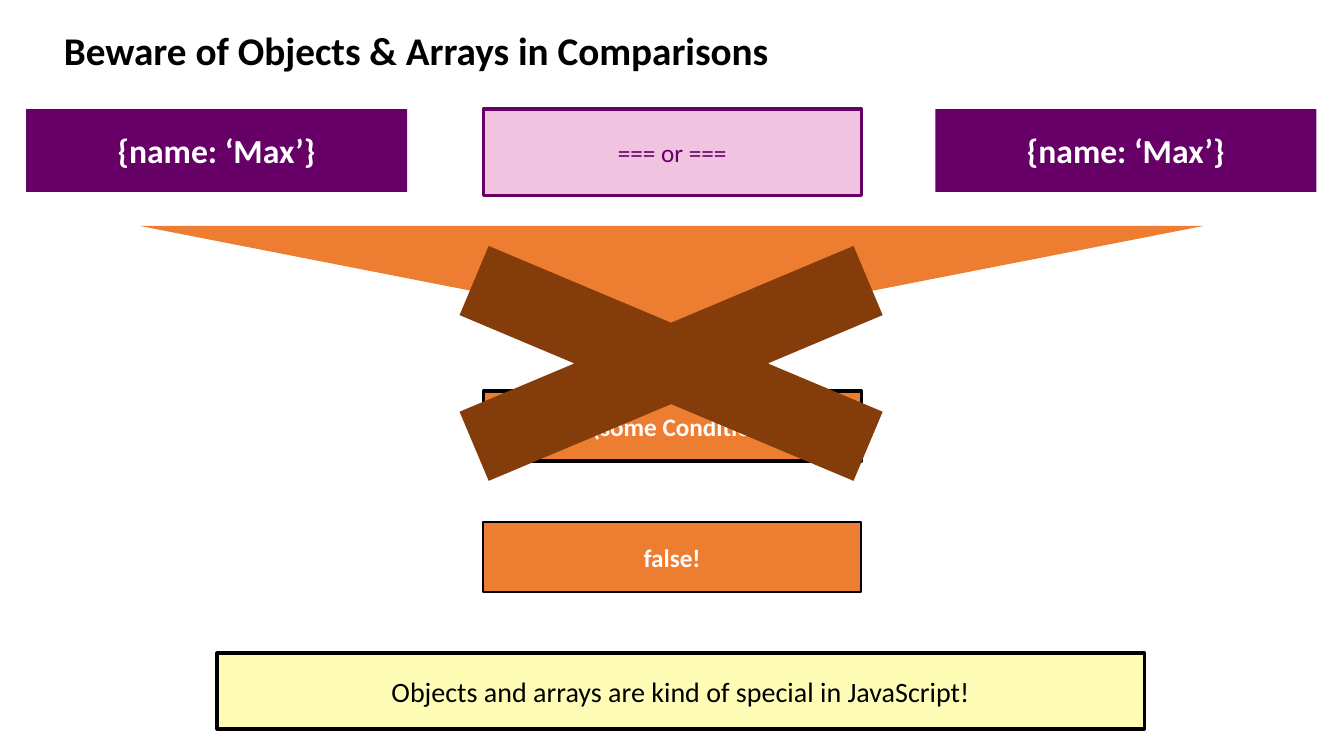
"""Build a slide warning about comparing objects and arrays."""
from lxml.etree import SubElement
from pptx import Presentation
from pptx.dml.color import RGBColor
from pptx.enum.shapes import MSO_SHAPE
from pptx.enum.text import MSO_ANCHOR, PP_ALIGN
from pptx.oxml.ns import qn
from pptx.util import Inches, Pt

EMU_PER_PIXEL = 914400 / 100.8
FONT = "Calibri"
PURPLE = RGBColor(0x66, 0x00, 0x66)
PINK = RGBColor(0xCC, 0x33, 0x99)
ORANGE = RGBColor(0xED, 0x7D, 0x31)
BROWN = RGBColor(0x84, 0x3C, 0x0B)
YELLOW = RGBColor(0xFC, 0xF6, 0x00)
BLACK = RGBColor(0x00, 0x00, 0x00)
WHITE = RGBColor(0xFF, 0xFF, 0xFF)


class SlideBuilder:
    def __init__(self, slide):
        self.slide = slide

    def place(self, *pixels):
        return [round(pixel * EMU_PER_PIXEL) for pixel in pixels]

    def set_text(self, shape, text, size, color, bold):
        paragraph = shape.text_frame.paragraphs[0]
        paragraph.text = text
        font = paragraph.font
        font.name, font.size, font.bold = FONT, Pt(size), bold
        font.color.rgb = color
        return paragraph

    def title(self, bounds, text):
        box = self.slide.shapes.add_textbox(*self.place(*bounds))
        box.text_frame.word_wrap = True
        self.set_text(box, text, 28, BLACK, True)

    def shape(self, kind, bounds, fill, opacity=100, rotation=0):
        shape = self.slide.shapes.add_shape(kind, *self.place(*bounds))
        shape.shadow.inherit = False
        shape.rotation = rotation
        shape.fill.solid()
        shape.fill.fore_color.rgb = fill
        shape.line.fill.background()
        if opacity < 100:
            color = shape.element.spPr.find(qn("a:solidFill"))[0]
            SubElement(color, qn("a:alpha"), val=str(opacity * 1000))
        return shape

    def box(self, bounds, text, size, fill, color=WHITE, bold=True,
            border=None, border_width=2.25, opacity=100):
        box = self.shape(MSO_SHAPE.RECTANGLE, bounds, fill, opacity)
        if border is not None:
            box.line.color.rgb = border
            box.line.width = Pt(border_width)
        box.text_frame.word_wrap = True
        box.text_frame.vertical_anchor = MSO_ANCHOR.MIDDLE
        self.set_text(box, text, size, color, bold).alignment = PP_ALIGN.CENTER


presentation = Presentation()
presentation.slide_width = Inches(13.33)
presentation.slide_height = Inches(7.5)
builder = SlideBuilder(presentation.slides.add_slide(presentation.slide_layouts[6]))

builder.title((54, 21, 762, 57), "Beware of Objects & Arrays in Comparisons")
for left in (26, 935):
    builder.box((left, 109, 381, 83), "{name: ‘Max’}", 24, PURPLE)
builder.box((483, 109, 378, 87), "=== or ===", 18, PINK, PURPLE, False,
            border=PURPLE, opacity=29)
builder.shape(MSO_SHAPE.ISOSCELES_TRIANGLE, (140, 226, 1063, 104), ORANGE, rotation=180)
for top, text, border_width in ((391, "If (some Condition)", 2.25), (522, "false!", 1.5)):
    builder.box((483, top, 378, 70), text, 18, ORANGE,
                border=BLACK, border_width=border_width)
builder.shape(MSO_SHAPE.MATH_MULTIPLY, (292, 204, 758, 319), BROWN)
builder.box((217, 653, 927, 76), "Objects and arrays are kind of special in JavaScript!",
            20, YELLOW, BLACK, False, border=BLACK, opacity=29)

presentation.save("out.pptx")
